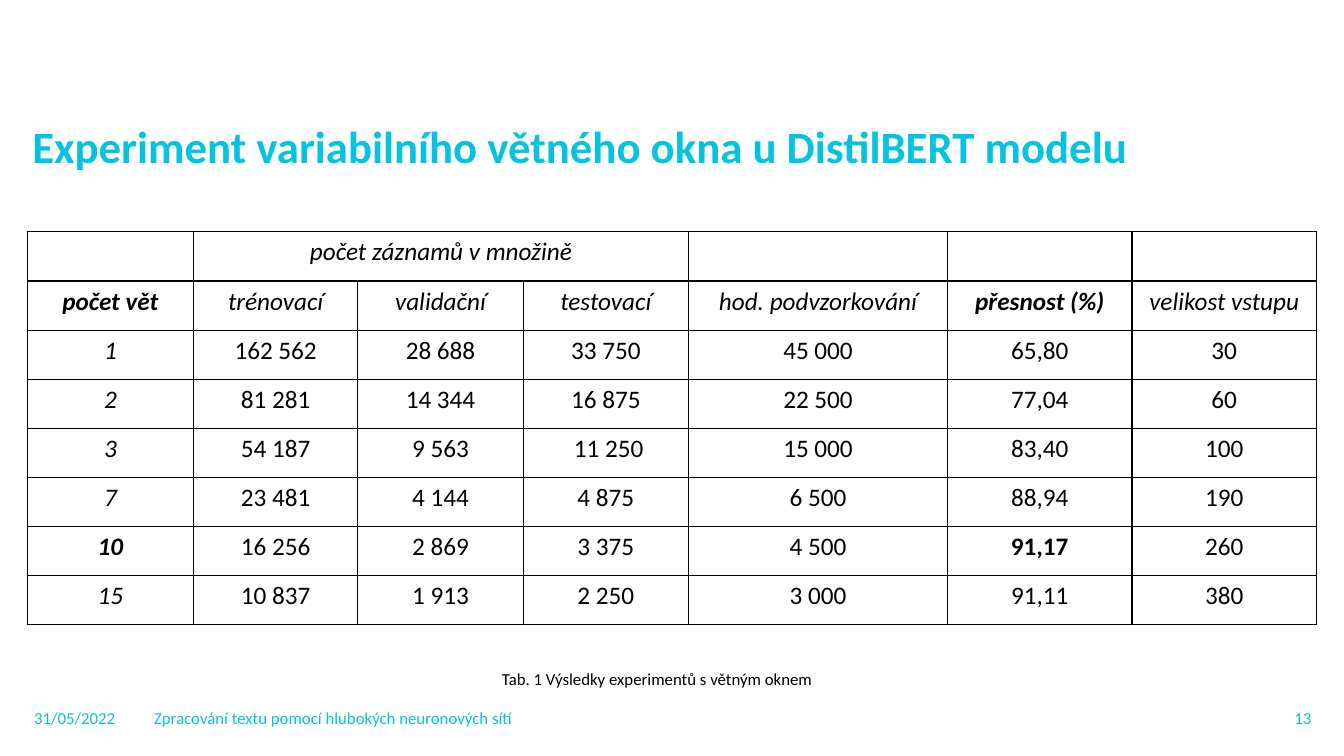
from dataclasses import dataclass

from lxml.etree import fromstring
from pptx import Presentation
from pptx.dml.color import RGBColor as Rgb
from pptx.enum.text import MSO_ANCHOR as Anchor, PP_ALIGN as Align
from pptx.util import Pt

# Content
TITLE = "Experiment variabilního větného okna u DistilBERT modelu"
CAPTION = "Tab. 1 Výsledky experimentů s větným oknem"
GROUP = "počet záznamů v množině"
HEADS = ["počet vět", "trénovací", "validační", "testovací",
         "hod. podvzorkování", "přesnost (%)", "velikost vstupu"]
ROWS = [
    ["1", "162 562", "28 688", "33 750", "45 000", "65,80", "30"],
    ["2", "81 281", "14 344", "16 875", "22 500", "77,04", "60"],
    ["3", "54 187", "9 563", " 11 250", "15 000", "83,40", "100"],
    ["7", "23 481", "4 144", "4 875", "6 500", "88,94", "190"],
    ["10", "16 256", "2 869", "3 375", "4 500", "91,17", "260"],
    ["15", "10 837", "1 913", "2 250", "3 000", "91,11", "380"],
]
BOLD = {"počet vět", "přesnost (%)", "10", "91,17"}

# Places in points: left, top, width, height
TITLE_AT = (15.84, 85.7, 928.8, 402.5)
TABLE_AT = (19.44, 165.6, 920.9, 280.8)
WIDTHS = [118.8, 117.4, 118.1, 118.1, 185, 131.8, 131.8]
CAP_AT = (351.4, 474.5, 359.3, 21.6)
FOOTER = [
    ("31/05/2022", (17.3, 500.4, 74.9, 24), Align.LEFT),
    ("Zpracování textu pomocí hlubokých neuronových sítí",
     (103, 500.4, 799.2, 24), Align.LEFT),
    ("13", (912.2, 500.4, 31.7, 24), Align.RIGHT),
]


@dataclass
class Theme:
    face: str = "Calibri"
    cyan: str = "05C3DE"
    black: str = "000000"
    head: int = 32
    body: int = 18
    small: int = 12
    rule: int = 1


theme = Theme()
NS = "http://schemas.openxmlformats.org/drawingml/2006/main"


def style(par, size, color, align=Align.LEFT, bold=False, italic=False):
    par.alignment = align
    font = par.font
    font.name, font.size = theme.face, Pt(size)
    font.bold, font.italic = bold, italic
    font.color.rgb = Rgb.from_string(color)


def label(slide, text, at, color, align, anchor):
    frame = slide.shapes.add_textbox(*map(Pt, at)).text_frame
    frame.word_wrap = True
    frame.vertical_anchor = anchor
    frame.text = text
    style(frame.paragraphs[0], theme.small, color, align)


def border(cell):
    props = cell._tc.get_or_add_tcPr()
    for i, side in enumerate("LRTB"):
        props.insert(i, fromstring(
            f'<a:ln{side} xmlns:a="{NS}" w="{Pt(theme.rule)}"><a:solidFill>'
            f'<a:srgbClr val="{theme.black}"/></a:solidFill></a:ln{side}>'))


def add_title(slide):
    title = slide.shapes.title
    title.left, title.top, title.width, title.height = map(Pt, TITLE_AT)
    frame = title.text_frame
    frame.word_wrap = True
    frame.vertical_anchor = Anchor.TOP
    frame.text = TITLE
    par = frame.paragraphs[0]
    par.line_spacing = 0.9
    par.space_before = Pt(0)
    style(par, theme.head, theme.cyan, bold=True)


def add_grid(slide):
    cells = [["", GROUP] + [""] * 5, HEADS] + ROWS
    shape = slide.shapes.add_table(len(cells), len(HEADS), *map(Pt, TABLE_AT))
    table = shape.table
    table.first_row = table.horz_banding = False
    for col, width in zip(table.columns, WIDTHS):
        col.width = Pt(width)
    for r, row in enumerate(cells):
        table.rows[r].height = Pt(TABLE_AT[3] / len(cells))
        for c, text in enumerate(row):
            cell = table.cell(r, c)
            cell.fill.background()
            border(cell)
            cell.text = text
            style(cell.text_frame.paragraphs[0], theme.body, theme.black,
                  Align.CENTER, text in BOLD, r < 2 or c == 0)
    table.cell(0, 1).merge(table.cell(0, 3))


def main():
    deck = Presentation()
    deck.slide_width, deck.slide_height = Pt(960), Pt(540)
    slide = deck.slides.add_slide(deck.slide_layouts[5])
    add_title(slide)
    add_grid(slide)
    # Caption and footer
    label(slide, CAPTION, CAP_AT, theme.black, Align.LEFT, Anchor.TOP)
    for text, at, align in FOOTER:
        label(slide, text, at, theme.cyan, align, Anchor.MIDDLE)
    deck.save("out.pptx")


if __name__ == "__main__":
    main()
